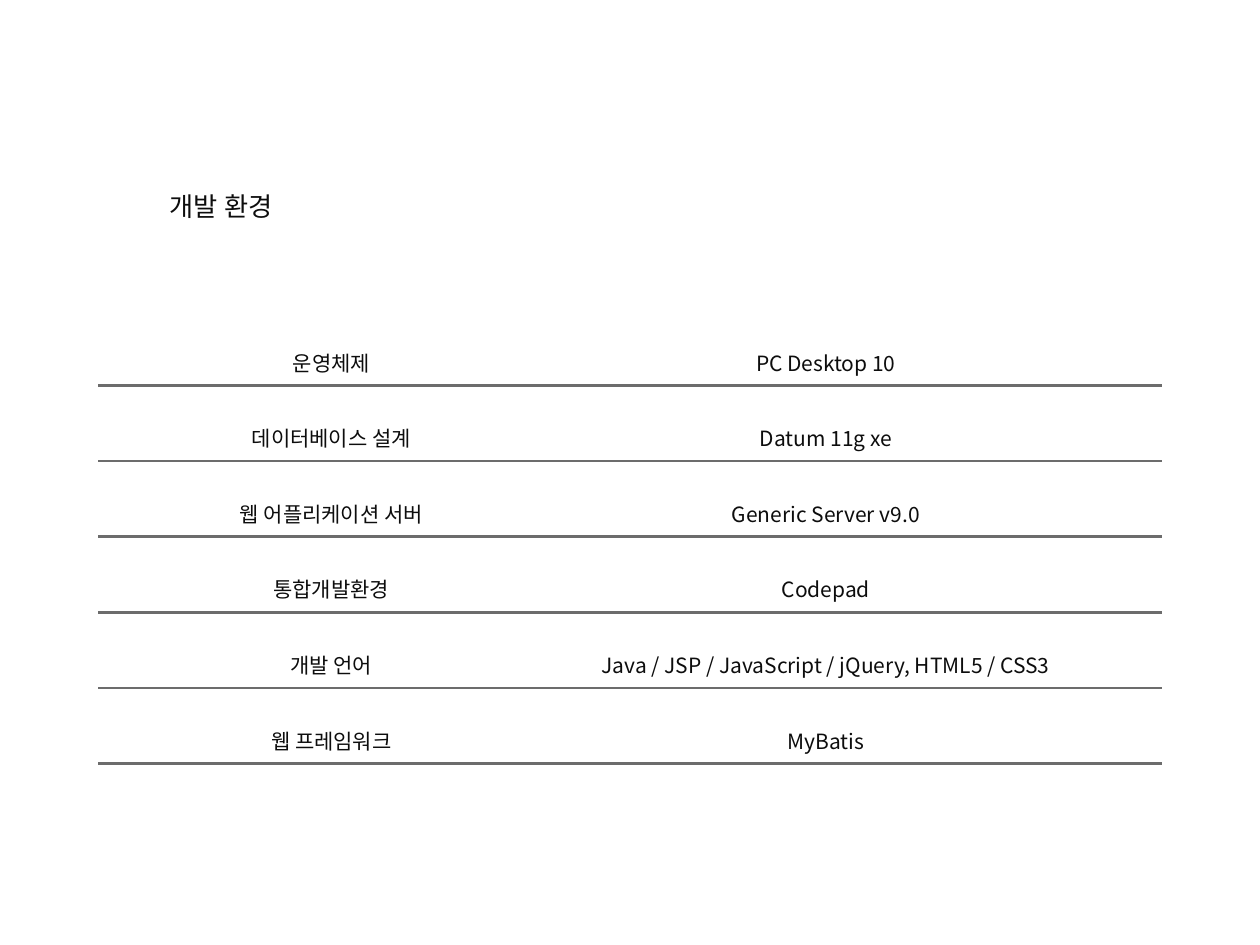
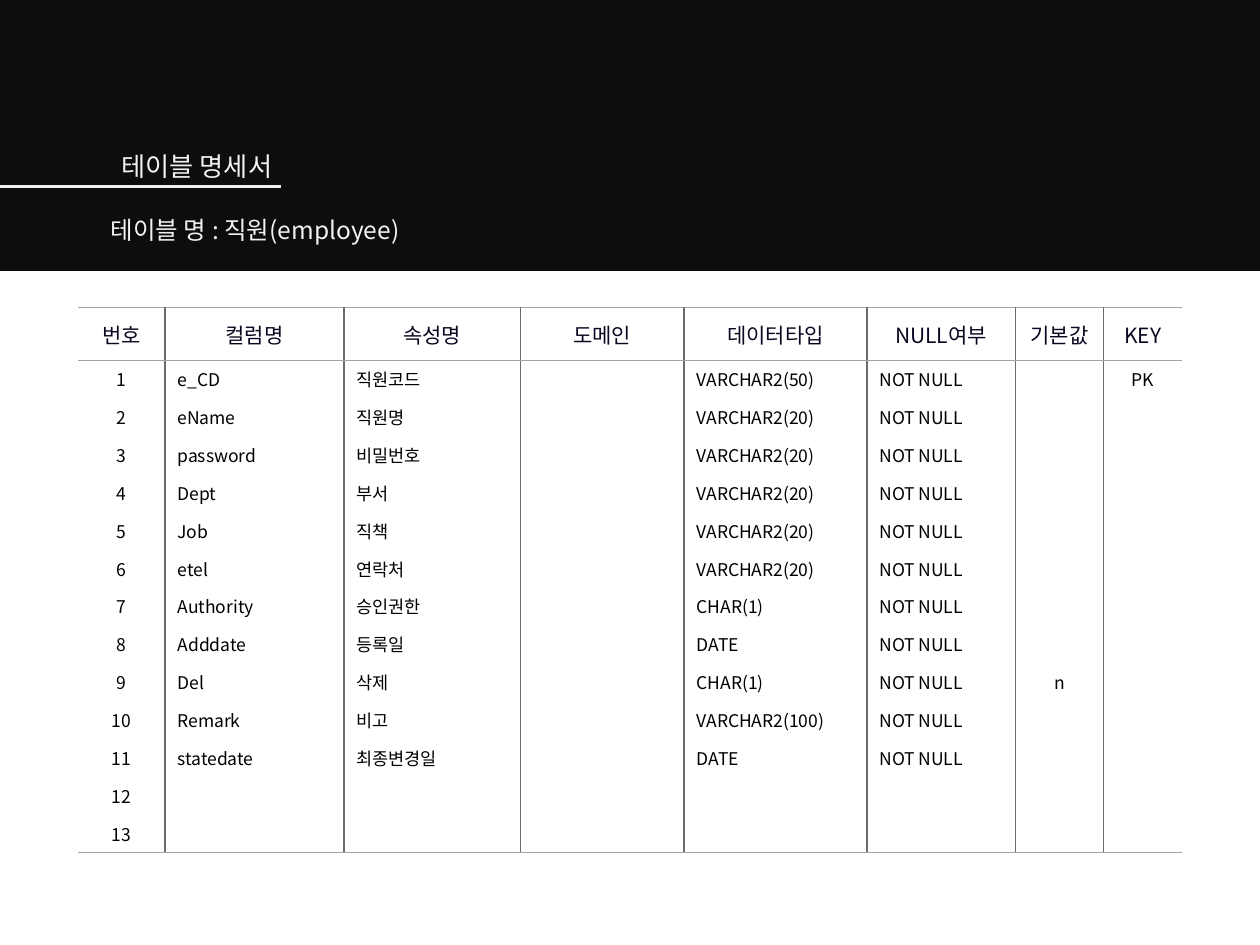
from dataclasses import dataclass

from lxml.etree import SubElement
from pptx import Presentation
from pptx.dml.color import RGBColor
from pptx.enum.shapes import MSO_CONNECTOR, MSO_SHAPE
from pptx.enum.text import MSO_ANCHOR, MSO_AUTO_SIZE, PP_ALIGN
from pptx.oxml.ns import qn
from pptx.util import Inches, Pt


@dataclass(frozen=True)
class Theme:
    width: float = 10
    height: float = 7.5
    font: str = "Noto Sans CJK KR"
    ink: str = "0D0D0D"
    light: str = "F2F2F2"
    header_ink: str = "0B0720"
    cell_ink: str = "000000"
    rule: str = "6C6C6C"
    table_edge: str = "A5A5A5"
    title_size: int = 15
    subtitle_size: int = 14
    body_size: int = 12
    cell_size: int = 10
    rule_width: float = 1.5
    border_width: float = 1


THEME = Theme()
MARGIN = 0.078 * THEME.width
NO_GRID_STYLE = "{2D5ABB26-0587-4C30-8999-92F81FD0307C}"

ENVIRONMENT = [
    ("운영체제", "PC Desktop 10"),
    ("데이터베이스 설계", "Datum 11g xe"),
    ("웹 어플리케이션 서버", "Generic Server v9.0"),
    ("통합개발환경", "Codepad"),
    ("개발 언어", "Java / JSP / JavaScript / jQuery, HTML5 / CSS3"),
    ("웹 프레임워크", "MyBatis"),
]
ENVIRONMENT_COLUMNS = [(1.42, 2.42), (4.49, 4.13)]
ENVIRONMENT_TOP = 2.33
ENVIRONMENT_PITCH = 0.6
FIRST_RULE = 3.06

HEADERS = ["번호", "컬럼명", "속성명", "도메인", "데이터타입", "NULL여부", "기본값", "KEY"]
COLUMN_WIDTHS = [0.69, 1.42, 1.4, 1.3, 1.45, 1.18, 0.7, 0.62]
CENTERED_COLUMNS = {0, 6, 7}
HEADER_HEIGHT = 0.42
ROW_HEIGHT = 0.29
ROW_COUNT = 13
FIELDS = [
    ("e_CD", "직원코드", "VARCHAR2(50)"),
    ("eName", "직원명", "VARCHAR2(20)"),
    ("password", "비밀번호", "VARCHAR2(20)"),
    ("Dept", "부서", "VARCHAR2(20)"),
    ("Job", "직책", "VARCHAR2(20)"),
    ("etel", "연락처", "VARCHAR2(20)"),
    ("Authority", "승인권한", "CHAR(1)"),
    ("Adddate", "등록일", "DATE"),
    ("Del", "삭제", "CHAR(1)"),
    ("Remark", "비고", "VARCHAR2(100)"),
    ("statedate", "최종변경일", "DATE"),
]
DEFAULTS = {"Del": "n"}
KEYS = {"e_CD": "PK"}


def write(paragraph, text, *, size, color, align=PP_ALIGN.LEFT, spacing=None):
    """Fill a paragraph; an empty one keeps its type size for the row height."""
    paragraph.alignment = align
    if spacing:
        paragraph.line_spacing = spacing
    if not text:
        paragraph._p.get_or_add_endParaRPr().set("sz", str(size * 100))
        return
    run = paragraph.add_run()
    run.text = text
    run.font.size = Pt(size)
    run.font.color.rgb = RGBColor.from_string(color)
    run.font.name = THEME.font
    SubElement(run.font._element, qn("a:ea"), typeface=THEME.font)


def add_text(slide, box, lines, **text_format):
    frame = slide.shapes.add_textbox(*map(Inches, box)).text_frame
    frame.word_wrap = True
    frame.auto_size = MSO_AUTO_SIZE.SHAPE_TO_FIT_TEXT
    for index, line in enumerate(lines):
        paragraph = frame.add_paragraph() if index else frame.paragraphs[0]
        write(paragraph, line, **text_format)


def add_title(slide, box, text, **text_format):
    add_text(slide, box, [text], size=THEME.title_size, spacing=1.5, **text_format)


def add_rule(slide, left, right, top, color):
    rule = slide.shapes.add_connector(
        MSO_CONNECTOR.STRAIGHT, *map(Inches, (left, top, right, top)))
    rule.line.color.rgb = RGBColor.from_string(color)
    rule.line.width = Pt(THEME.rule_width)
    SubElement(rule._element.spPr, qn("a:effectLst"))


def add_band(slide, height):
    band = slide.shapes.add_shape(
        MSO_SHAPE.RECTANGLE, 0, 0, Inches(THEME.width), Inches(height))
    band.shadow.inherit = False
    band.fill.solid()
    band.fill.fore_color.rgb = RGBColor.from_string(THEME.ink)
    band.line.fill.background()


def set_borders(cell, borders):
    """Draw the given sides, named L, R, T, B in that order, ahead of the fill."""
    properties = cell._tc.get_or_add_tcPr()
    for position, (side, color) in enumerate(borders.items()):
        line = SubElement(properties, qn(f"a:ln{side}"), w=str(Pt(THEME.border_width)))
        fill = SubElement(line, qn("a:solidFill"))
        SubElement(fill, qn("a:srgbClr"), val=color)
        properties.insert(position, line)


def cell_borders(row, column):
    borders = {}
    if column > 0:
        borders["L"] = THEME.rule
    if column < len(HEADERS) - 1:
        borders["R"] = THEME.rule
    if row == 0:
        borders["T"] = THEME.table_edge
    if row in (0, ROW_COUNT):
        borders["B"] = THEME.table_edge
    return borders


def field_rows():
    for number in range(1, ROW_COUNT + 1):
        if number <= len(FIELDS):
            name, label, data_type = FIELDS[number - 1]
            yield [str(number), name, label, "", data_type, "NOT NULL",
                   DEFAULTS.get(name, ""), KEYS.get(name, "")]
        else:
            yield [str(number)] + [""] * (len(HEADERS) - 1)


def add_field_table(slide, left, top):
    height = HEADER_HEIGHT + ROW_COUNT * ROW_HEIGHT
    frame = slide.shapes.add_table(
        ROW_COUNT + 1, len(HEADERS),
        *map(Inches, (left, top, sum(COLUMN_WIDTHS), height)))
    table = frame.table
    table.first_row = table.horz_banding = False
    table._tbl.tblPr.find(qn("a:tableStyleId")).text = NO_GRID_STYLE
    for column, width in zip(table.columns, COLUMN_WIDTHS):
        column.width = Inches(width)
    for row_index, values in enumerate([HEADERS, *field_rows()]):
        is_header = row_index == 0
        table.rows[row_index].height = Inches(HEADER_HEIGHT if is_header else ROW_HEIGHT)
        for column_index, value in enumerate(values):
            cell = table.cell(row_index, column_index)
            cell.vertical_anchor = MSO_ANCHOR.MIDDLE
            cell.fill.background()
            centered = is_header or column_index in CENTERED_COLUMNS
            write(cell.text_frame.paragraphs[0], value,
                  size=THEME.body_size if is_header else THEME.cell_size,
                  color=THEME.header_ink if is_header else THEME.cell_ink,
                  align=PP_ALIGN.CENTER if centered else PP_ALIGN.LEFT)
            set_borders(cell, cell_borders(row_index, column_index))


def build_environment_slide(slide):
    height = len(ENVIRONMENT) * ENVIRONMENT_PITCH + 0.14
    for (left, width), lines in zip(ENVIRONMENT_COLUMNS, zip(*ENVIRONMENT)):
        add_text(slide, (left, ENVIRONMENT_TOP, width, height), lines,
                 size=THEME.body_size, color=THEME.ink,
                 align=PP_ALIGN.CENTER, spacing=3.0)
    for index in range(len(ENVIRONMENT)):
        add_rule(slide, MARGIN, THEME.width - MARGIN,
                 FIRST_RULE + index * ENVIRONMENT_PITCH, THEME.rule)
    add_title(slide, (1.25, 1.34, 1.09, 0.44), "개발 환경", color=THEME.ink)


def build_table_slide(slide):
    add_band(slide, 2.15)
    add_field_table(slide, 0.62, 2.44)
    add_rule(slide, 0, 2.23, 1.48, THEME.light)
    add_title(slide, (MARGIN, 1.02, 1.48, 0.44), "테이블 명세서",
              color=THEME.light, align=PP_ALIGN.RIGHT)
    add_text(slide, (MARGIN, 1.66, 3.4, 0.34), ["테이블 명 : 직원(employee)"],
             size=THEME.subtitle_size, color=THEME.light)


def main():
    presentation = Presentation()
    presentation.slide_width = Inches(THEME.width)
    presentation.slide_height = Inches(THEME.height)
    blank = presentation.slide_layouts[6]
    for build in (build_environment_slide, build_table_slide):
        build(presentation.slides.add_slide(blank))
    presentation.save("out.pptx")


if __name__ == "__main__":
    main()
